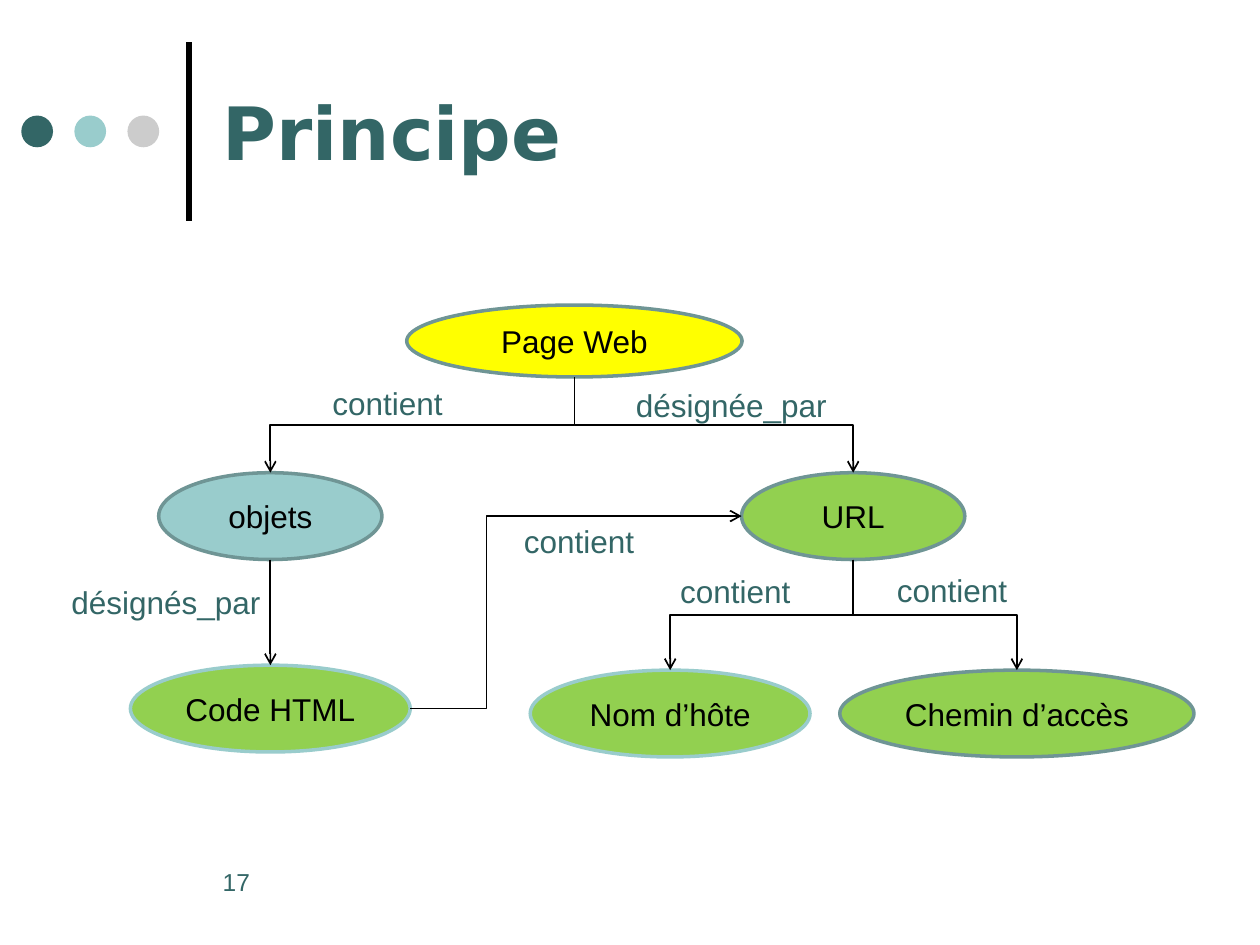
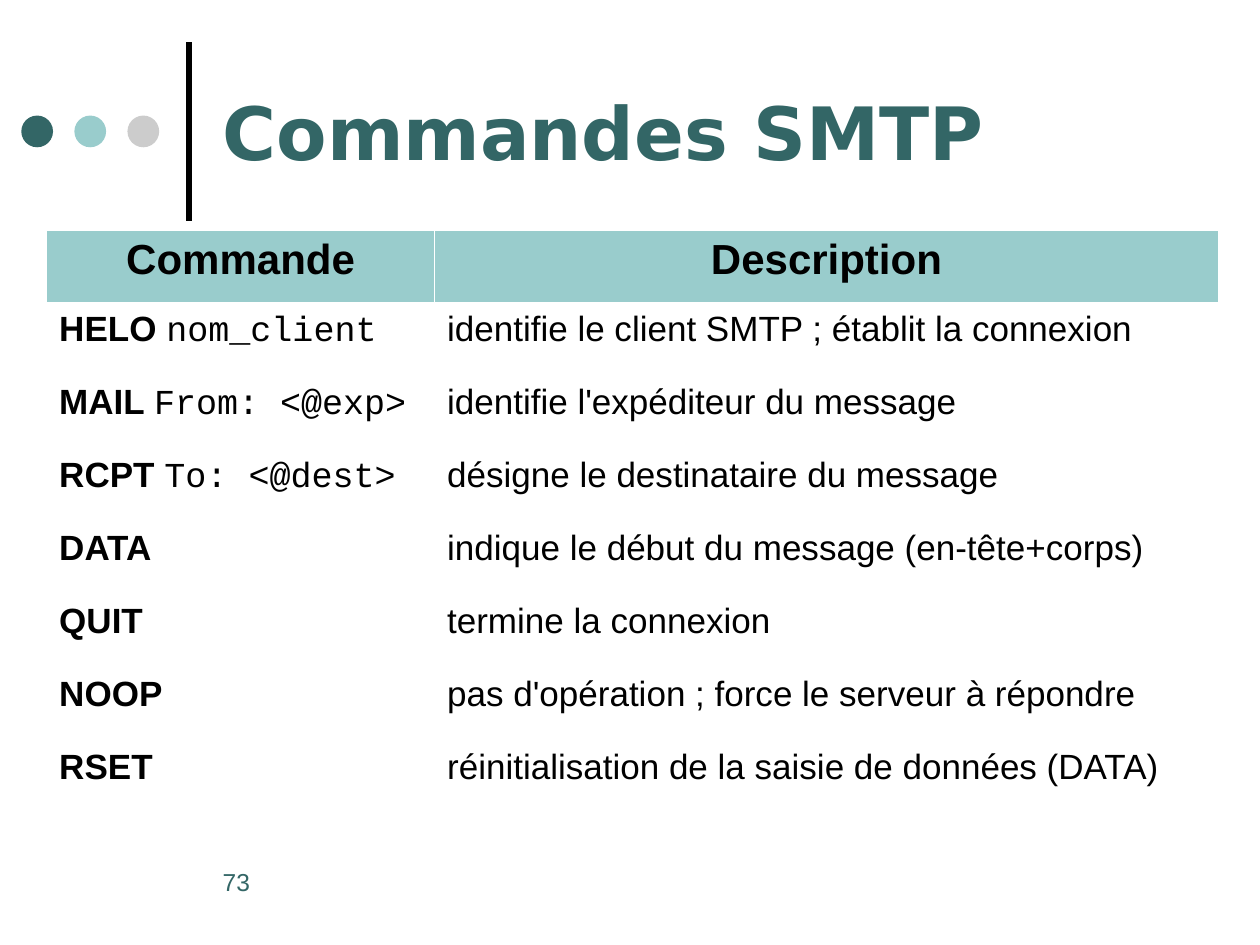
from lxml import etree
from pptx import Presentation
from pptx.dml.color import RGBColor
from pptx.enum import shapes, text
from pptx.oxml import ns
from pptx.util import Cm, Pt

TEAL, AQUA, GREY = "336666", "99CCCC", "CCCCCC"
BLACK, WHITE, YELLOW, GREEN, EDGE = "000000", "FFFFFF", "FFFF00", "92D050", "6F9595"

# Concept map: name -> (centre x, top, width, height, fill, outline), in cm
CONCEPTS = {
    "Page Web": (11.58, 6.15, 6.76, 1.45, YELLOW, EDGE),
    "objets": (5.45, 9.53, 4.5, 1.75, AQUA, EDGE),
    "URL": (17.2, 9.53, 4.5, 1.75, GREEN, EDGE),
    "Code HTML": (5.45, 13.41, 5.64, 1.75, GREEN, AQUA),
    "Nom d’hôte": (13.51, 13.51, 5.64, 1.75, GREEN, AQUA),
    "Chemin d’accès": (20.5, 13.51, 7.14, 1.75, GREEN, EDGE),
}
DOWN_LINKS = [
    ("Page Web", "objets"), ("Page Web", "URL"), ("objets", "Code HTML"),
    ("URL", "Nom d’hôte"), ("URL", "Chemin d’accès"),
]
SIDE_LINK = ("Code HTML", "URL")
SIDE_LINK_BEND = 0.23

# Link labels: text, left, top, width, in cm
LABELS = [
    ("contient", 6.45, 7.62, 3.12),
    ("désignée_par", 12.57, 7.65, 4.62),
    ("contient", 10.31, 10.39, 3.12),
    ("contient", 13.46, 11.4, 3.12),
    ("contient", 17.83, 11.38, 3.12),
    ("désignés_par", 1.19, 11.63, 4.37),
]

# SMTP commands: keyword, argument, description
HEADINGS = ("Commande", "Description")
COMMANDS = [
    ("HELO", "nom_client", "identifie le client SMTP ; établit la connexion"),
    ("MAIL", "From: <@exp>", "identifie l'expéditeur du message"),
    ("RCPT", "To: <@dest>", "désigne le destinataire du message"),
    ("DATA", "", "indique le début du message (en-tête+corps)"),
    ("QUIT", "", "termine la connexion"),
    ("NOOP", "", "pas d'opération ; force le serveur à répondre"),
    ("RSET", "", "réinitialisation de la saisie de données (DATA)"),
]
COLUMN_WIDTHS = (7.82, 15.8)
ROW_HEIGHT = 1.47


def rgb(color):
    return RGBColor.from_string(color)


def style(font, size, color=BLACK, bold=False, name="Arial"):
    font.name, font.size, font.bold = name, Pt(size), bold
    font.color.rgb = rgb(color)


def write(frame, words, size, color=BLACK, bold=False, name="Arial", align=None):
    para = frame.paragraphs[0]
    para.text = words
    para.alignment = align
    style(para.font, size, color, bold, name)


def add_text(page, words, left, top, width, height, size, anchor=text.MSO_ANCHOR.TOP, **look):
    box = page.shapes.add_textbox(Cm(left), Cm(top), Cm(width), Cm(height))
    box.text_frame.word_wrap = True
    box.text_frame.vertical_anchor = anchor
    write(box.text_frame, words, size, TEAL, **look)


def add_ellipse(page, left, top, width, height, fill, outline=None):
    ellipse = page.shapes.add_shape(
        shapes.MSO_SHAPE.OVAL, Cm(left), Cm(top), Cm(width), Cm(height))
    ellipse.shadow.inherit = False
    ellipse.fill.solid()
    ellipse.fill.fore_color.rgb = rgb(fill)
    if outline:
        ellipse.line.color.rgb = rgb(outline)
        ellipse.line.width = Pt(2)
    else:
        ellipse.line.fill.background()
    return ellipse


def add_line(page, start, end, width=1, arrow=False, kind=shapes.MSO_CONNECTOR.STRAIGHT):
    line = page.shapes.add_connector(kind, *(Cm(v) for v in (*start, *end)))
    line.line.color.rgb = rgb(BLACK)
    line.line.width = Pt(width)
    if arrow:
        etree.SubElement(line.line._get_or_add_ln(), ns.qn("a:tailEnd"), type="arrow")
    etree.SubElement(line._element.spPr, ns.qn("a:effectLst"))
    return line


def add_down_link(page, start, end):
    """Arrow that leaves downwards and, if needed, bends halfway."""
    (x1, y1), (x2, y2) = start, end
    if x1 == x2:
        add_line(page, start, end, arrow=True)
        return
    link = add_line(page, start, end, arrow=True, kind=shapes.MSO_CONNECTOR.ELBOW)
    # A quarter turn about the centre swaps the two extents
    across, drop = abs(x2 - x1), y2 - y1
    link.left, link.top = Cm((x1 + x2 - drop) / 2), Cm((y1 + y2 - across) / 2)
    link.width, link.height = Cm(drop), Cm(across)
    xfrm = link._element.spPr.find(ns.qn("a:xfrm"))
    xfrm.attrib.pop("flipH", None)
    if x2 > x1:
        xfrm.set("flipH", "1")
    xfrm.set("rot", str((270 if x2 > x1 else 90) * 60000))


def set_borders(cell, is_heading, is_first):
    widths = {"L": 0.45, "R": 0.45,
              "T": 1.47 if is_first else 0.45, "B": 1.47 if is_heading else 0.45}
    properties = cell._tc.get_or_add_tcPr()
    for place, (side, width) in enumerate(widths.items()):
        border = etree.Element(ns.qn(f"a:ln{side}"), w=str(Pt(width)))
        fill = etree.SubElement(border, ns.qn("a:solidFill"))
        etree.SubElement(fill, ns.qn("a:srgbClr"), val=WHITE)
        properties.insert(place, border)


def add_page(deck, title, number):
    page = deck.slides.add_slide(deck.slide_layouts[6])
    # Vertical rule and three dots
    add_line(page, (3.81, 4.45), (3.81, 0.84), width=3)
    for i, color in enumerate((TEAL, AQUA, GREY)):
        add_ellipse(page, 0.43 + i * 1.07, 2.33, 0.64, 0.64, color)
    # Title and page number
    add_text(page, title, 4.24, 0.53, 19.48, 4.24, 42,
             text.MSO_ANCHOR.MIDDLE, bold=True, name="DejaVu Sans")
    add_text(page, str(number), 4.24, 17.35, 3.61, 1.27, 14)
    return page


def add_concept_map(page):
    for name, (center, top, width, height, fill, outline) in CONCEPTS.items():
        node = add_ellipse(page, center - width / 2, top, width, height, fill, outline)
        node.text_frame.word_wrap = False
        node.text_frame.vertical_anchor = text.MSO_ANCHOR.MIDDLE
        write(node.text_frame, name, 18, align=text.PP_ALIGN.CENTER)

    for source, target in DOWN_LINKS:
        x1, top, _, height = CONCEPTS[source][:4]
        add_down_link(page, (x1, top + height), CONCEPTS[target][:2])

    # Sideways link, right edge to left edge
    (x1, y1, w1, h1), (x2, y2, w2, h2) = (CONCEPTS[name][:4] for name in SIDE_LINK)
    link = add_line(page, (x1 + w1 / 2, y1 + h1 / 2), (x2 - w2 / 2, y2 + h2 / 2),
                    arrow=True, kind=shapes.MSO_CONNECTOR.ELBOW)
    guides = link._element.spPr.find(ns.qn("a:prstGeom")).get_or_add_avLst()
    etree.SubElement(guides, ns.qn("a:gd"), name="adj1",
                     fmla=f"val {round(SIDE_LINK_BEND * 100000)}")

    for words, left, top, width in LABELS:
        add_text(page, words, left, top, width, 1.02, 18)


def add_command_table(page):
    rows = len(COMMANDS) + 1
    table = page.shapes.add_table(
        rows, len(HEADINGS), Cm(0.94), Cm(4.65),
        Cm(sum(COLUMN_WIDTHS)), Cm(rows * ROW_HEIGHT)).table
    table.first_row = table.horz_banding = False
    for column, width in zip(table.columns, COLUMN_WIDTHS):
        column.width = Cm(width)
    for row in table.rows:
        row.height = Cm(ROW_HEIGHT)

    # Heading row
    for i, heading in enumerate(HEADINGS):
        cell = table.cell(0, i)
        cell.fill.solid()
        cell.fill.fore_color.rgb = rgb(AQUA)
        write(cell.text_frame, heading, 24, bold=True, align=text.PP_ALIGN.CENTER)
        set_borders(cell, True, False)

    # Command rows
    for i, (keyword, argument, description) in enumerate(COMMANDS, 1):
        command, meaning = table.cell(i, 0), table.cell(i, 1)
        if argument:
            para = command.text_frame.paragraphs[0]
            for words, bold, name in ((keyword + " ", True, "Arial"),
                                      (argument, False, "Courier New")):
                span = para.add_run()
                span.text = words
                style(span.font, 20, bold=bold, name=name)
        else:
            write(command.text_frame, keyword, 20, bold=True)
        write(meaning.text_frame, description, 20)
        for cell in (command, meaning):
            cell.fill.background()
            set_borders(cell, False, i == 1)


def main():
    deck = Presentation()
    deck.slide_width, deck.slide_height = Cm(25.4), Cm(19.05)
    add_concept_map(add_page(deck, "Principe", 17))
    add_command_table(add_page(deck, "Commandes SMTP", 73))
    deck.save("out.pptx")


if __name__ == "__main__":
    main()
